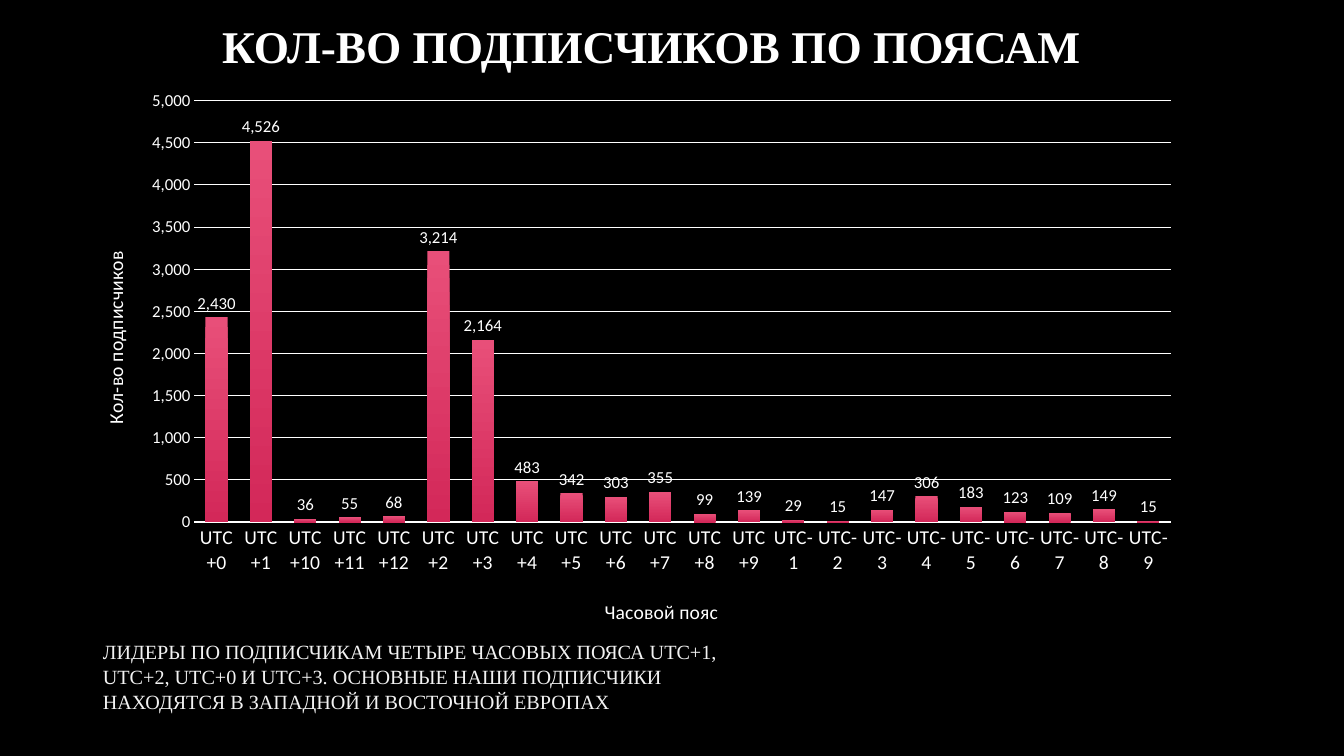
import pptx
import pptx.chart.data
import pptx.dml.color
import pptx.enum.chart
import pptx.enum.text
import pptx.oxml
import pptx.oxml.ns
import pptx.util

EMU_PER_PX = 914400 / 100.8
COLORS = {"background": "000000", "white": "FFFFFF", "note": "F2F2F2",
          "bar_top": "E84F79", "bar_bottom": "D32859"}
TEXT_FONT = "Times New Roman"
CHART_FONT = "Calibri"

ZONES = [f"UTC+{n}" for n in (0, 1, 10, 11, 12, *range(2, 10))]
ZONES += [f"UTC-{n}" for n in range(1, 10)]
SUBSCRIBERS = (2430, 4526, 36, 55, 68, 3214, 2164, 483, 342, 303, 355,
               99, 139, 29, 15, 147, 306, 183, 123, 109, 149, 15)


def px(length):
    return pptx.util.Emu(round(length * EMU_PER_PX))


def color(name):
    return pptx.dml.color.RGBColor.from_string(COLORS[name])


def style_font(font, size, name=CHART_FONT, color_name="white", bold=False):
    font.size = pptx.util.Pt(size)
    font.name = name
    font.bold = bold
    font.color.rgb = color(color_name)


def add_text(slide, box, text, size, color_name="white", bold=False,
             alignment=pptx.enum.text.PP_ALIGN.LEFT, line_spacing=None):
    shape = slide.shapes.add_textbox(*map(px, box))
    frame = shape.text_frame
    frame.word_wrap = True
    frame.vertical_anchor = pptx.enum.text.MSO_ANCHOR.MIDDLE
    paragraph = frame.paragraphs[0]
    paragraph.alignment = alignment
    if line_spacing:
        paragraph.line_spacing = pptx.util.Pt(line_spacing)
    run = paragraph.add_run()
    run.text = text
    style_font(run.font, size, TEXT_FONT, color_name, bold)


def set_layout(parent, after, x, y, size=None):
    """Place a chart part by fractions of the chart's width and height."""
    values = {"xMode": "edge", "yMode": "edge", "x": x, "y": y}
    if size:
        values = {"layoutTarget": "inner", **values, "w": size[0], "h": size[1]}
    items = "".join(f'<c:{tag} val="{value}"/>' for tag, value in values.items())
    layout = pptx.oxml.parse_xml(
        f'<c:layout {pptx.oxml.ns.nsdecls("c")}>'
        f"<c:manualLayout>{items}</c:manualLayout></c:layout>")
    for old in parent.findall(pptx.oxml.ns.qn("c:layout")):
        parent.remove(old)
    position = 0
    if after:
        position = parent.index(parent.find(pptx.oxml.ns.qn(after))) + 1
    parent.insert(position, layout)


def style_axis(axis, title, label_size, title_x, title_y):
    paragraph = axis.axis_title.text_frame.paragraphs[0]
    run = paragraph.add_run()
    run.text = title
    style_font(run.font, 14)
    set_layout(axis.axis_title._element, "c:tx", title_x, title_y)
    axis.major_tick_mark = pptx.enum.chart.XL_TICK_MARK.NONE
    axis.minor_tick_mark = pptx.enum.chart.XL_TICK_MARK.NONE
    style_font(axis.tick_labels.font, label_size)


def style_line(line, width):
    line.color.rgb = color("white")
    line.width = pptx.util.Pt(width)


def style_bars(plot):
    plot.gap_width = 100
    plot.overlap = -24
    plot.vary_by_categories = False
    fill = plot.series[0].format.fill
    fill.gradient()
    fill.gradient_angle = 270
    for stop, name in zip(fill.gradient_stops, ("bar_top", "bar_bottom")):
        stop.color.rgb = color(name)
    for stop, position in zip(fill.gradient_stops, (0, 1)):
        stop.position = position
    labels = plot.series[0].data_labels
    labels.show_value = True
    labels.position = pptx.enum.chart.XL_LABEL_POSITION.OUTSIDE_END
    labels.number_format = "#,##0"
    labels.number_format_is_linked = False
    style_font(labels.font, 12)


def add_subscriber_chart(slide, box):
    data = pptx.chart.data.CategoryChartData(number_format="#,##0")
    data.categories = ZONES
    data.add_series("Series 1", SUBSCRIBERS)
    chart = slide.shapes.add_chart(
        pptx.enum.chart.XL_CHART_TYPE.COLUMN_CLUSTERED, *map(px, box), data).chart
    chart.has_legend = False
    chart.has_title = False
    style_font(chart.font, 10)
    style_bars(chart.plots[0])

    # Axes
    style_axis(chart.category_axis, "Часовой пояс", 14, 0.47, 0.92)
    style_line(chart.category_axis.format.line, 1)
    value_axis = chart.value_axis
    style_axis(value_axis, "Кол-во подписчиков", 12, 0.02, 0.3)
    value_axis.minimum_scale = 0
    value_axis.maximum_scale = 5000
    value_axis.major_unit = 500
    value_axis.tick_labels.number_format = "#,##0"
    value_axis.tick_labels.number_format_is_linked = False
    value_axis.format.line.fill.background()
    style_line(value_axis.major_gridlines.format.line, 0.75)

    # Plot area
    plot_area = chart._chartSpace.chart.plotArea
    set_layout(plot_area, None, 0.106, 0.037, (0.874, 0.754))


def main():
    presentation = pptx.Presentation()
    presentation.slide_width = px(1344)
    presentation.slide_height = px(756)
    slide = presentation.slides.add_slide(presentation.slide_layouts[6])
    slide.background.fill.solid()
    slide.background.fill.fore_color.rgb = color("background")

    # Chart with its heading and conclusion
    add_subscriber_chart(slide, (76, 80, 1117, 559))
    add_text(slide, (93, 17, 1117, 56), "КОЛ-ВО ПОДПИСЧИКОВ ПО ПОЯСАМ", 32.4,
             bold=True, alignment=pptx.enum.text.PP_ALIGN.CENTER)
    add_text(slide, (93, 648, 668, 56),
             "ЛИДЕРЫ ПО ПОДПИСЧИКАМ ЧЕТЫРЕ ЧАСОВЫХ ПОЯСА UTC+1, UTC+2, UTC+0 "
             "И UTC+3. ОСНОВНЫЕ НАШИ ПОДПИСЧИКИ НАХОДЯТСЯ В ЗАПАДНОЙ "
             "И ВОСТОЧНОЙ ЕВРОПАХ", 14.4, "note", line_spacing=18)

    presentation.save("out.pptx")


if __name__ == "__main__":
    main()
